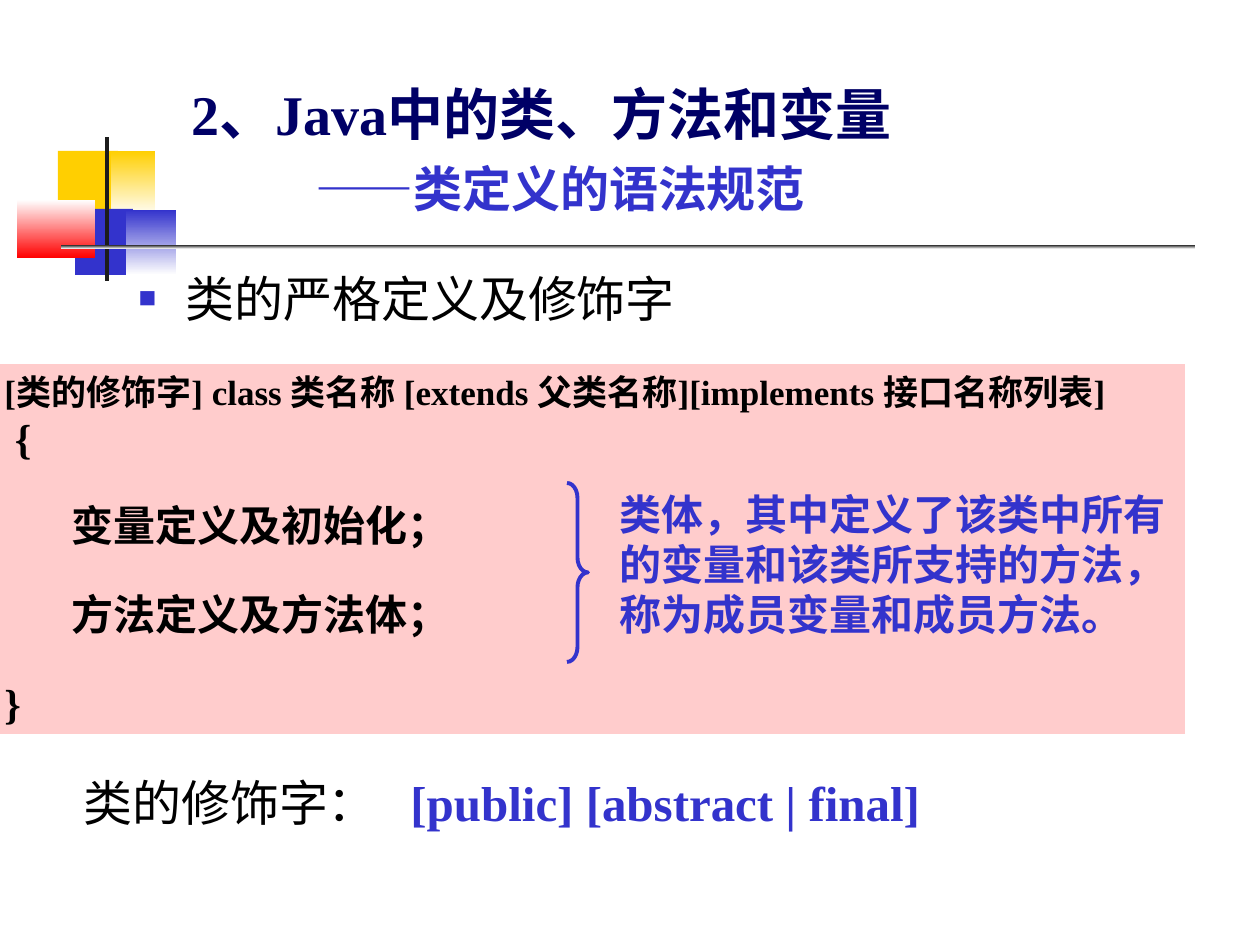
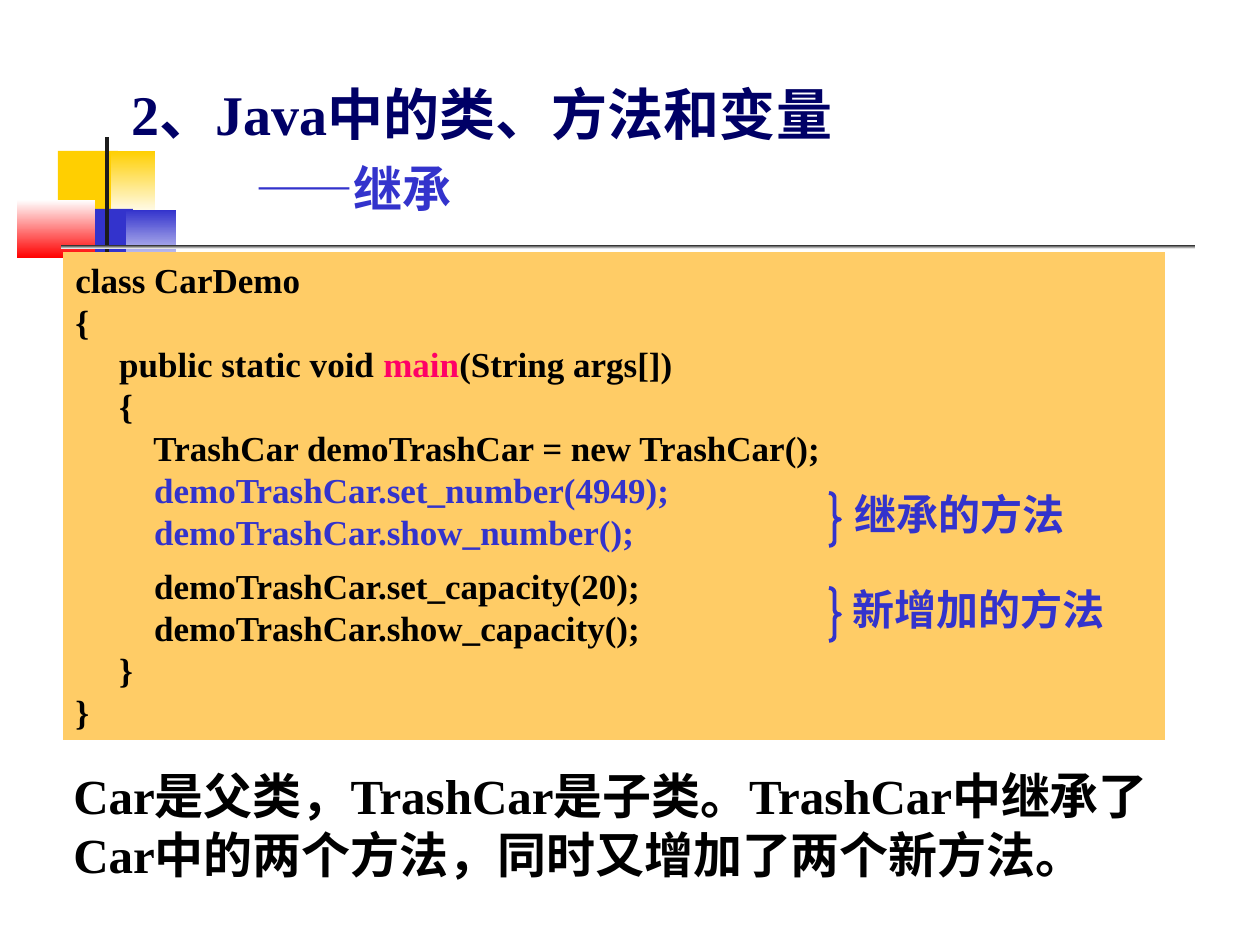
from dataclasses import dataclass

from lxml import etree
from pptx import Presentation
from pptx.dml.color import RGBColor
from pptx.enum.shapes import MSO_SHAPE
from pptx.enum.text import MSO_ANCHOR, MSO_AUTO_SIZE, PP_ALIGN
from pptx.oxml.ns import qn
from pptx.util import Emu, Pt

RECTANGLE, RIGHT_BRACE = MSO_SHAPE.RECTANGLE, MSO_SHAPE.RIGHT_BRACE
TOP, LEFT, NO_AUTOFIT = MSO_ANCHOR.TOP, PP_ALIGN.LEFT, MSO_AUTO_SIZE.NONE

EMU_PER_PX = 914400 / 126
SERIF, SANS = "Times New Roman", "Lato"
TITLE_AND_BODY, TITLE_ONLY = 1, 5
CHAPTER = "2、Java中的类、方法和变量"
SUBTITLE_INDENT = 124
BULLET_INDENT = 47

COLORS = {
    "black": "000000",
    "white": "FFFFFF",
    "navy": "000066",
    "blue": "3333CC",
    "yellow": "FFCF01",
    "red": "FF0000",
    "ink": "1C1C1C",
    "pink_panel": "FFCCCC",
    "orange_panel": "FFCC66",
    "keyword": "FF0066",
}

# Corner ornament and rule: left, top, width, height, then one or two colours
ORNAMENT = [
    (58, 151, 60, 66, "yellow"),
    (111, 151, 44, 66, "yellow", "white"),
    (75, 209, 58, 66, "blue"),
    (126, 210, 50, 65, "blue", "white"),
    (17, 200, 78, 58, "white", "red"),
    (105, 137, 4, 144, "ink"),
    (61, 245, 1134, 4, "ink", "white"),
]


@dataclass
class Line:
    """A paragraph; text is a string or a list of (text, colour, bold) runs."""
    text: object
    size: int
    color: str = "black"
    bold: bool = True
    font: str = SERIF
    before: int = 0
    indent: int = 0


def px(length):
    return Emu(round(length * EMU_PER_PX))


def rgb(name):
    return RGBColor.from_string(COLORS[name])


def place(shape, left, top, width, height):
    shape.left, shape.top = px(left), px(top)
    shape.width, shape.height = px(width), px(height)


def write(frame, lines, wrap=True):
    frame.word_wrap = wrap
    frame.auto_size = NO_AUTOFIT
    frame.vertical_anchor = TOP
    for number, line in enumerate(lines):
        paragraph = frame.add_paragraph() if number else frame.paragraphs[0]
        paragraph.alignment = LEFT
        paragraph.space_before = Pt(line.before)
        if line.indent:
            paragraph._p.get_or_add_pPr().set("marL", str(px(line.indent)))
        font = paragraph.font
        font.name, font.size, font.bold = line.font, Pt(line.size), line.bold
        font.color.rgb = rgb(line.color)
        if isinstance(line.text, str):
            paragraph.add_run().text = line.text
            continue
        for text, color, bold in line.text:
            run = paragraph.add_run()
            run.text = text
            run.font.bold = bold
            run.font.color.rgb = rgb(color)


def add_block(slide, left, top, width, height, color, end_color=None):
    block = slide.shapes.add_shape(RECTANGLE, px(left), px(top), px(width), px(height))
    block.shadow.inherit = False
    block.line.fill.background()
    if end_color:
        block.fill.gradient()
        block.fill.gradient_angle = 270
        for stop, name in zip(block.fill.gradient_stops, (color, end_color)):
            stop.color.rgb = rgb(name)
    else:
        block.fill.solid()
        block.fill.fore_color.rgb = rgb(color)
    return block


def add_text(slide, left, top, width, height, lines, wrap=True):
    box = slide.shapes.add_textbox(px(left), px(top), px(width), px(height))
    write(box.text_frame, lines, wrap)


def add_brace(slide, left, top, width, height):
    brace = slide.shapes.add_shape(RIGHT_BRACE, px(left), px(top), px(width), px(height))
    brace.shadow.inherit = False
    brace.fill.background()
    brace.line.color.rgb = rgb("blue")
    brace.line.width = Pt(2.25)
    brace.adjustments[0] = height / 12 / width  # each curl is a twelfth of the height


def add_slide(prs, layout, subtitle, title_left, title_width):
    slide = prs.slides.add_slide(prs.slide_layouts[layout])
    for part in ORNAMENT:
        add_block(slide, *part)
    title = slide.shapes.title
    place(title, title_left, 73, title_width, 151)
    write(title.text_frame, [
        Line(CHAPTER, 32, "navy"),
        Line("——" + subtitle, 28, "blue", before=7, indent=SUBTITLE_INDENT),
    ])
    return slide


def add_square_bullet(paragraph):
    properties = paragraph._p.get_or_add_pPr()
    properties.set("marL", str(px(BULLET_INDENT)))
    properties.set("indent", str(-px(BULLET_INDENT)))
    color = etree.SubElement(properties, qn("a:buClr"))
    etree.SubElement(color, qn("a:srgbClr"), val=COLORS["blue"])
    etree.SubElement(properties, qn("a:buSzPct"), val="60000")
    etree.SubElement(properties, qn("a:buChar"), char="■")


def add_tab_stop(paragraph, position):
    stops = etree.SubElement(paragraph._p.get_or_add_pPr(), qn("a:tabLst"))
    etree.SubElement(stops, qn("a:tab"), pos=str(px(position)), algn="l")


def build_class_syntax(prs):
    slide = add_slide(prs, TITLE_AND_BODY, "类定义的语法规范", 179, 927)

    topic = slide.placeholders[1]
    place(topic, 126, 262, 577, 95)
    add_square_bullet(topic.text_frame.paragraphs[0])
    write(topic.text_frame, [Line("类的严格定义及修饰字", 28, bold=False, font=SANS)])

    modifiers = slide.shapes.add_textbox(px(71), px(766), px(862), px(131))
    add_tab_stop(modifiers.text_frame.paragraphs[0], 327)
    write(modifiers.text_frame, [Line([
        ("类的修饰字：\t", "black", False),
        ("[public] [abstract | final]", "blue", True),
    ], 28)])

    # Class skeleton with its body explained beside the brace
    skeleton = add_block(slide, -8, 364, 1193, 370, "pink_panel")
    write(skeleton.text_frame, [
        Line("[类的修饰字] class 类名称 [extends 父类名称][implements 接口名称列表]", 20),
        Line(" {", 24),
        Line("       变量定义及初始化；", 24, before=21),
        Line("       方法定义及方法体；", 24, before=22),
        Line("}", 24, before=22),
    ], wrap=False)
    add_brace(slide, 567, 483, 21, 179)
    add_text(slide, 607, 482, 580, 164, [Line(
        "类体，其中定义了该类中所有的变量和该类所支持的方法，称为成员变量和成员方法。",
        24, "blue")])


def build_inheritance(prs):
    slide = add_slide(prs, TITLE_ONLY, "继承", 119, 790)

    add_text(slide, 61, 759, 1136, 131, [Line(
        "Car是父类，TrashCar是子类。TrashCar中继承了Car中的两个方法，同时又增加了两个新方法。",
        28)])

    # Demo program
    main_signature = [
        ("     public static void ", "black", True),
        ("main", "keyword", True),
        ("(String args[])", "black", True),
    ]
    program = add_block(slide, 63, 252, 1102, 488, "orange_panel")
    write(program.text_frame, [
        Line("class CarDemo", 20),
        Line("{", 20),
        Line(main_signature, 20),
        Line("     {", 20),
        Line("         TrashCar demoTrashCar = new TrashCar();", 20),
        Line("         demoTrashCar.set_number(4949);", 20, "blue"),
        Line("         demoTrashCar.show_number();", 20, "blue"),
        Line("         demoTrashCar.set_capacity(20);", 20, before=7),
        Line("         demoTrashCar.show_capacity();", 20),
        Line("     }", 20),
        Line("}", 20),
    ])

    # Method groups
    for top, left, width, label in [(493, 842, 234, "继承的方法"),
                                    (588, 840, 277, "新增加的方法")]:
        add_brace(slide, 829, top, 11, 53)
        add_text(slide, left, top - 11, width, 63,
                 [Line(label, 24, "blue", font=SANS)], wrap=False)


def main():
    prs = Presentation()
    prs.slide_width, prs.slide_height = px(1260), px(945)
    build_class_syntax(prs)
    build_inheritance(prs)
    prs.save("out.pptx")


if __name__ == "__main__":
    main()
